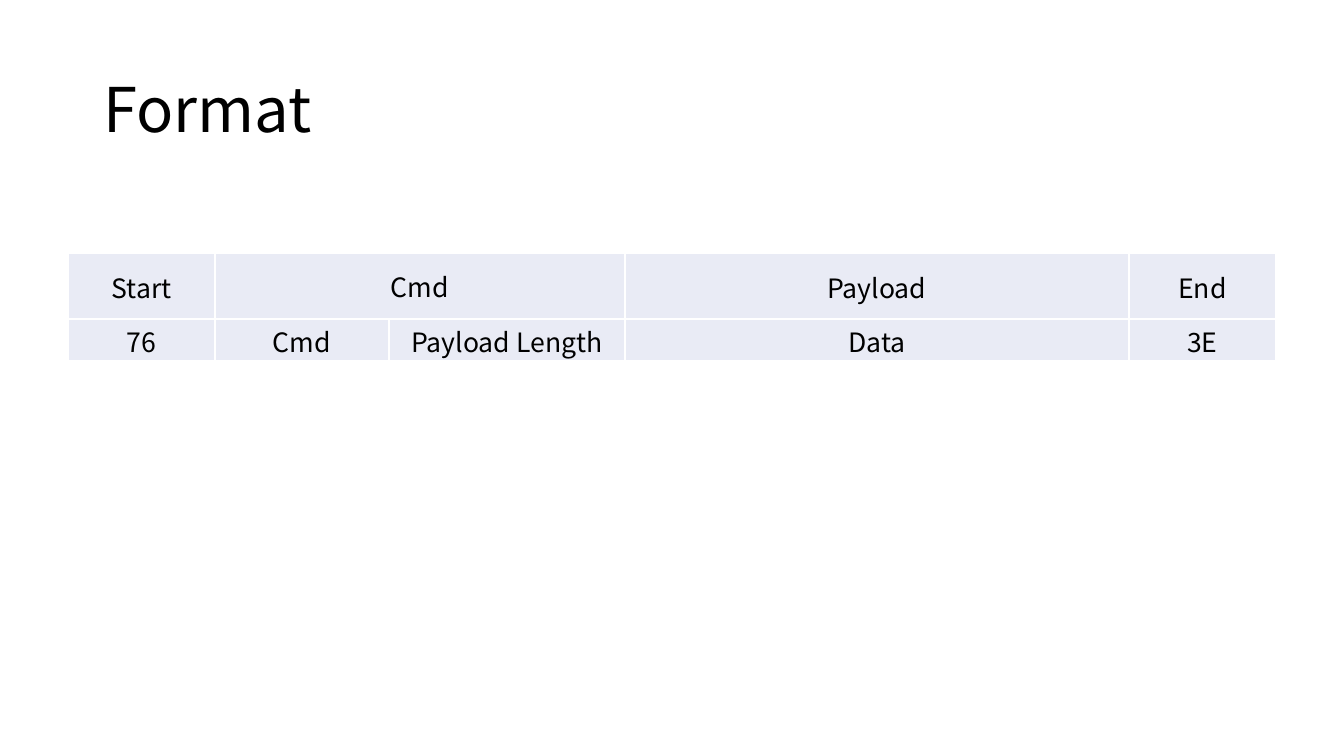
from dataclasses import dataclass

from lxml.etree import SubElement
from pptx import Presentation
from pptx.dml.color import RGBColor
from pptx.enum.text import MSO_ANCHOR, MSO_AUTO_SIZE, PP_ALIGN
from pptx.oxml.ns import qn
from pptx.table import Table, _Cell
from pptx.text.text import TextFrame
from pptx.util import Emu, Pt

FONT = "Noto Sans CJK KR"
BLACK = RGBColor(0x00, 0x00, 0x00)
WHITE = RGBColor(0xFF, 0xFF, 0xFF)
CELL_FILL = RGBColor(0xE9, 0xEB, 0xF5)
COLUMN_WIDTHS = (147, 174, 236, 504, 147)
ROW_HEIGHTS = (66, 42)
TIGHT_MARGINS = (2, 2, 2, 0)
WIDE_MARGINS = (9, 5, 9, 5)


@dataclass(frozen=True)
class Field:
    row: int
    column: int
    text: str
    columns: int = 1
    margins: tuple[int, int, int, int] = TIGHT_MARGINS


FIELDS = (
    Field(0, 0, "Start"),
    Field(0, 1, "Cmd", 2, WIDE_MARGINS),
    Field(0, 3, "Payload"),
    Field(0, 4, "End"),
    Field(1, 0, "76"),
    Field(1, 1, "Cmd"),
    Field(1, 2, "Payload Length"),
    Field(1, 3, "Data"),
    Field(1, 4, "3E"),
)


def pixels(count: int) -> Emu:
    return Emu(round(count * 914400 / 100.8))


def write_text(text_frame: TextFrame, text: str, size: int, alignment: PP_ALIGN) -> None:
    text_frame.text = text
    paragraph = text_frame.paragraphs[0]
    paragraph.alignment = alignment
    font = paragraph.runs[0].font
    font.name = FONT
    font.size = Pt(size)
    font.color.rgb = BLACK


def format_cell(cell: _Cell) -> None:
    properties = cell._tc.get_or_add_tcPr()
    for side in ("a:lnL", "a:lnR", "a:lnT", "a:lnB"):
        line = SubElement(properties, qn(side), w=str(Pt(1)))
        fill = SubElement(line, qn("a:solidFill"))
        SubElement(fill, qn("a:srgbClr"), val=str(WHITE))
    cell.fill.solid()
    cell.fill.fore_color.rgb = CELL_FILL


def fill_field(table: Table, field: Field) -> None:
    cell = table.cell(field.row, field.column)
    if field.columns > 1:
        cell.merge(table.cell(field.row, field.column + field.columns - 1))
    cell.vertical_anchor = MSO_ANCHOR.MIDDLE
    left, top, right, bottom = map(pixels, field.margins)
    cell.margin_left, cell.margin_top = left, top
    cell.margin_right, cell.margin_bottom = right, bottom
    write_text(cell.text_frame, field.text, 19, PP_ALIGN.CENTER)


presentation = Presentation()
presentation.slide_width = pixels(1344)
presentation.slide_height = pixels(756)
slide = presentation.slides.add_slide(presentation.slide_layouts[5])

title = slide.shapes.title
title.left, title.top = pixels(93), pixels(40)
title.width, title.height = pixels(1159), pixels(146)
write_text(title.text_frame, "Format", 44, PP_ALIGN.LEFT)
title.text_frame.auto_size = MSO_AUTO_SIZE.NONE
title.text_frame.vertical_anchor = MSO_ANCHOR.MIDDLE
title.text_frame.paragraphs[0].line_spacing = 0.9

format_table = slide.shapes.add_table(
    len(ROW_HEIGHTS), len(COLUMN_WIDTHS), pixels(68), pixels(253),
    pixels(sum(COLUMN_WIDTHS)), pixels(sum(ROW_HEIGHTS)),
).table
format_table.first_row = False
format_table.horz_banding = False
for column, width in zip(format_table.columns, COLUMN_WIDTHS):
    column.width = pixels(width)
for row, height in zip(format_table.rows, ROW_HEIGHTS):
    row.height = pixels(height)
for cell in format_table.iter_cells():
    format_cell(cell)
for field in FIELDS:
    fill_field(format_table, field)

presentation.save("out.pptx")
